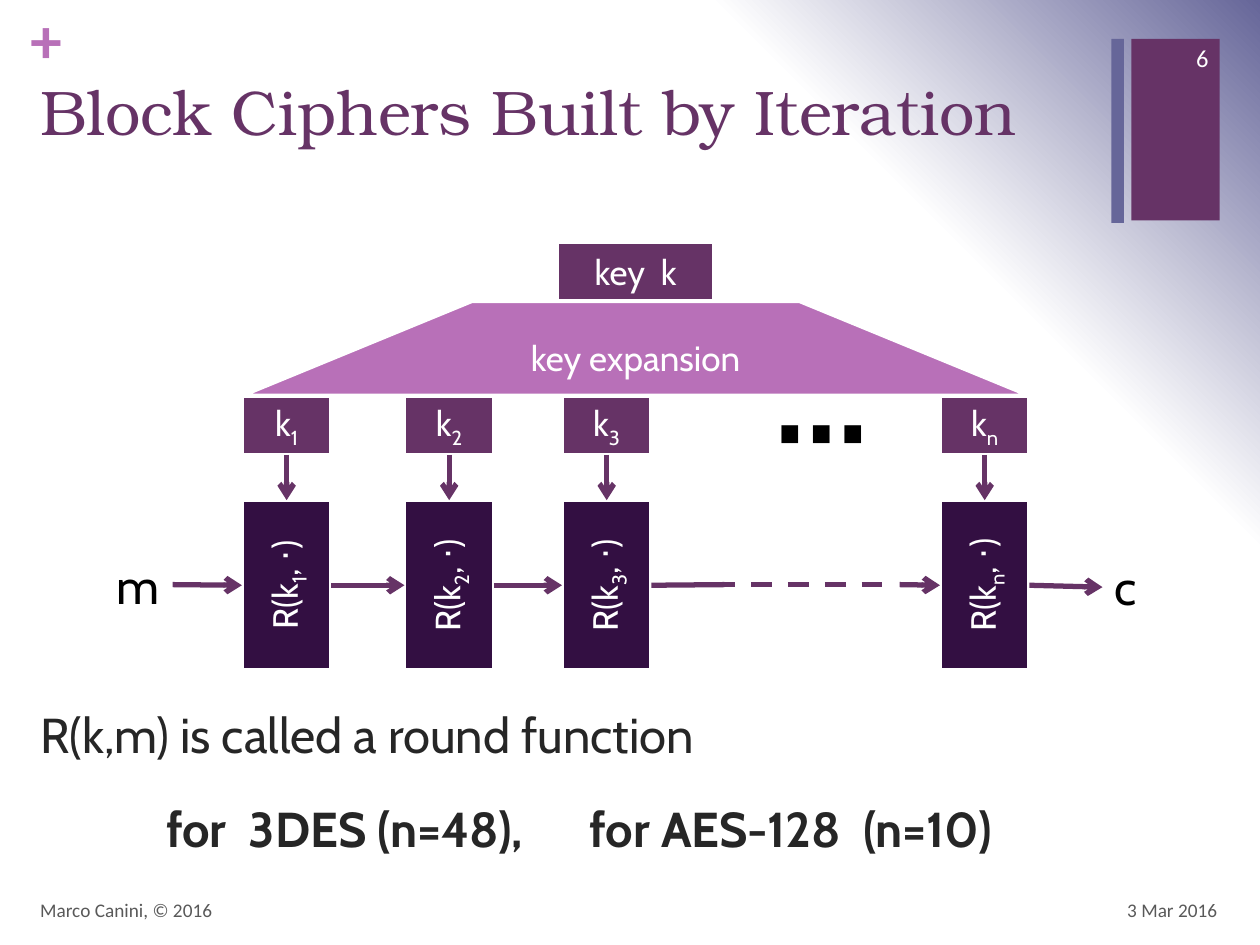
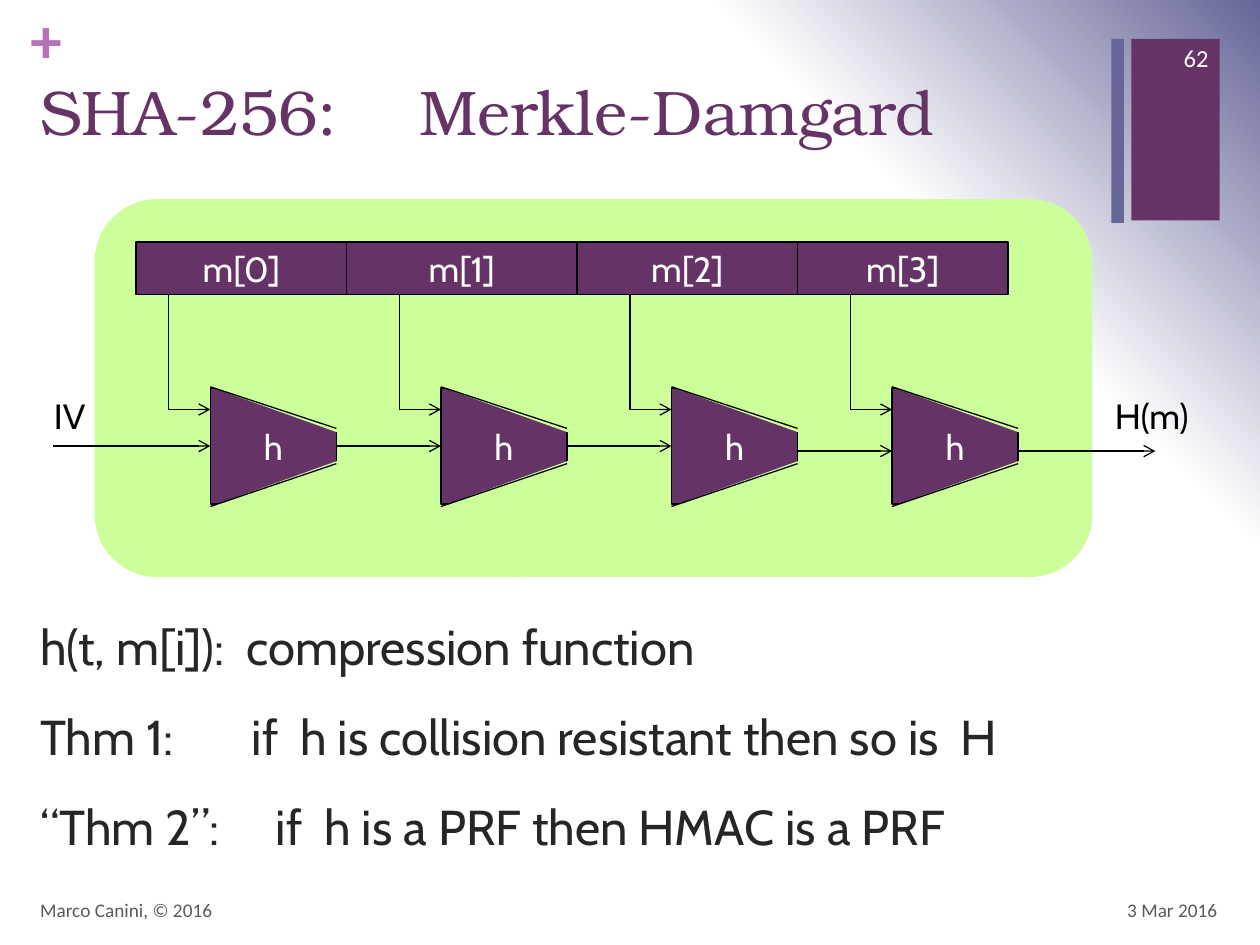
"""Builds two cryptography slides: block cipher iteration and Merkle-Damgard hashing."""
from lxml import etree
from pptx import Presentation, util as u
from pptx.dml.color import RGBColor
from pptx.enum import dml, shapes, text
from pptx.oxml.ns import qn

PLUM, ORCHID, NIGHT, SLATE = "663366", "B870B8", "330F42", "666699"
LIME, WHITE, BLACK, INK, GREY = "CCFF99", "FFFFFF", "000000", "262626", "595959"
BODY, HEAD, SMALL = "Cabin", "TeX Gyre Bonum", "Calibri"
TOP, LEFT, BOTTOM, RIGHT = range(4)
MSO = shapes.MSO_SHAPE
ALIGN = text.PP_ALIGN

FOOTER, DATE = "Marco Canini, © 2016", "3 Mar 2016"
GRADIENT = [(0, WHITE), (75, WHITE), (100, SLATE)]

CIPHER = dict(
    title="Block Ciphers Built by Iteration", number="6", top=5.54, height=1.48,
    body=[dict(runs=["R(k,m) is called a round function"], before=20),
          dict(runs=["\tfor  3DES (n=48),\tfor AES-128  (n=10)"], before=20,
               bold=True, tabs=[1, 4.36])])
ROUNDS = [("1", 1.92), ("2", 3.21), ("3", 4.46), ("n", 7.46)]
KEY_W, KEY_H, KEY_Y = 0.71, 0.47, 3.14
ROUND_Y, ROUND_H = 3.97, 1.35
FLOW_Y = 4.64

HASH = dict(
    title="SHA-256:\tMerkle-Damgard", title_tabs=[3.01], number="62",
    top=4.84, height=2.18,
    body=[dict(runs=["h(t, m[i]):  compression function"], before=20),
          dict(runs=["Thm 1:\tif  h is collision resistant then so is  H"],
               before=18, tabs=[1.68]),
          dict(runs=["“Thm 2”:\tif  h is a PRF then HMAC is a PRF"],
               before=18, tabs=[1.87])])
MESSAGES = [("m[0]", 1.08, 1.67), ("m[1]", 2.75, 1.83),
            ("m[2]", 4.58, 1.75), ("m[3]", 6.33, 1.67)]
STAGES = [1.67, 3.5, 5.33, 7.08]
CHAIN_Y, LAST_CHAIN_Y = 3.54, 3.58


def rgb(value):
    return RGBColor.from_string(value)


def add_paragraph(p, runs, size, font, color, align=None, before=None, bold=None, tabs=()):
    p.alignment = align
    if before:
        p.space_before = u.Pt(before)
    if tabs:
        stops = etree.SubElement(p._p.get_or_add_pPr(), qn("a:tabLst"))
        for pos in tabs:
            etree.SubElement(stops, qn("a:tab"), pos=str(u.Inches(pos)), algn="l")
    for item in runs:
        wording, baseline = item if isinstance(item, tuple) else (item, 0)
        r = p.add_run()
        r.text = wording
        r.font.size, r.font.name, r.font.bold = u.Pt(size), font, bold
        r.font.color.rgb = rgb(color)
        if baseline:
            r._r.get_or_add_rPr().set("baseline", str(baseline * 1000))


def add_text(s, box, paragraphs, size, font, color, middle=False, wrap=True,
             grow=False, inset=True):
    sp = s.shapes.add_textbox(*map(u.Inches, box))
    tf = sp.text_frame
    tf.word_wrap = wrap
    tf.vertical_anchor = text.MSO_ANCHOR.MIDDLE if middle else text.MSO_ANCHOR.TOP
    if grow:
        tf.auto_size = text.MSO_AUTO_SIZE.SHAPE_TO_FIT_TEXT
    if not inset:
        tf.margin_left = tf.margin_top = tf.margin_right = tf.margin_bottom = 0
    for i, par in enumerate(paragraphs):
        p = tf.add_paragraph() if i else tf.paragraphs[0]
        add_paragraph(p, size=size, font=font, color=color, **par)
    return sp


def add_block(s, kind, box, fill, line=None, runs=(), wrap=True, vertical=False):
    sp = s.shapes.add_shape(kind, *map(u.Inches, box))
    sp.shadow.inherit = False
    sp.fill.solid()
    sp.fill.fore_color.rgb = rgb(fill)
    if line:
        sp.line.color.rgb, sp.line.width = rgb(line[0]), u.Pt(line[1])
    else:
        sp.line.fill.background()
    if runs:
        tf = sp.text_frame
        tf.word_wrap = wrap
        tf.vertical_anchor = text.MSO_ANCHOR.MIDDLE
        add_paragraph(tf.paragraphs[0], runs, 20, BODY, WHITE, ALIGN.CENTER)
        if vertical:
            tf._txBody.bodyPr.set("vert", "vert270")
    return sp


def add_line(s, start, end, color, width, arrow=True, dash=False):
    """Joins two ends, each an (x, y) point or a (shape, side) pair."""
    ends = [(0, 0) if hasattr(e[0], "shape_id") else e for e in (start, end)]
    c = s.shapes.add_connector(shapes.MSO_CONNECTOR.STRAIGHT,
                               *(u.Inches(v) for e in ends for v in e))
    for e, connect in ((start, c.begin_connect), (end, c.end_connect)):
        if hasattr(e[0], "shape_id"):
            connect(*e)
    c.line.color.rgb, c.line.width = rgb(color), u.Pt(width)
    if dash:
        c.line.dash_style = dml.MSO_LINE.DASH
    spPr = c._element.spPr
    if arrow:
        etree.SubElement(spPr.find(qn("a:ln")), qn("a:tailEnd"), type="arrow")
    etree.SubElement(spPr, qn("a:effectLst"))


def set_background(s):
    s.background.fill.gradient()
    grad = s._element.cSld.find(".//" + qn("a:gradFill"))
    for child in list(grad):
        grad.remove(child)
    stops = etree.SubElement(grad, qn("a:gsLst"))
    for pos, color in GRADIENT:
        gs = etree.SubElement(stops, qn("a:gs"), pos=str(pos * 1000))
        etree.SubElement(gs, qn("a:srgbClr"), val=color)
    circle = etree.SubElement(grad, qn("a:path"), {"path": "circle"})
    etree.SubElement(circle, qn("a:fillToRect"), t="100000", r="100000")


def add_base(prs, content):
    s = prs.slides.add_slide(prs.slide_layouts[6])
    set_background(s)
    add_block(s, MSO.RECTANGLE, (8.98, 0.31, 0.7, 1.44), PLUM)
    add_text(s, (0.24, 0, 0.29, 0.61), [dict(runs=["+"], bold=True)], 36, SMALL, ORCHID,
             grow=True, inset=False)
    add_block(s, MSO.RECTANGLE, (8.82, 0.31, 0.1, 1.46), SLATE)
    add_text(s, (0.22, 0.53, 8.59, 1.22),
             [dict(runs=[content["title"]], tabs=content.get("title_tabs", ()))],
             36, HEAD, PLUM)
    add_text(s, (0.22, content["top"], 9.54, content["height"]), content["body"],
             28, BODY, INK)
    for box, wording, size, color, align in [
            ((7.43, 7.02, 2.33, 0.4), DATE, 11, GREY, ALIGN.RIGHT),
            ((0.22, 7.02, 6.7, 0.4), FOOTER, 11, GREY, ALIGN.LEFT),
            ((9.08, 0.26, 0.61, 0.4), content["number"], 14, WHITE, ALIGN.RIGHT)]:
        add_text(s, box, [dict(runs=[wording], align=align)], size, SMALL, color, middle=True)
    return s


def build_cipher(prs):
    s = add_base(prs, CIPHER)
    edge, stroke = (WHITE, 2.25), (PLUM, 3)
    add_block(s, MSO.RECTANGLE, (4.42, 1.92, 1.25, KEY_H), PLUM, edge, ["key  k"])
    expansion = add_block(s, MSO.TRAPEZOID, (1.92, 2.39, 6.25, 0.75), ORCHID, edge,
                          ["key expansion"])
    expansion.adjustments[0] = 2.433
    rounds = []
    for index, x in ROUNDS:
        sub = (index, -25)
        key = add_block(s, MSO.RECTANGLE, (x, KEY_Y, KEY_W, KEY_H), PLUM, edge, ["k", sub])
        box = add_block(s, MSO.RECTANGLE, (x, ROUND_Y, KEY_W, ROUND_H), NIGHT, edge,
                        ["R(k", sub, ", ⋅)"], vertical=True)
        add_line(s, (key, BOTTOM), (box, TOP), *stroke)
        rounds.append(box)
    first, second, third, last = rounds
    for start, end in [((1.37, FLOW_Y), (first, LEFT)),
                       ((first, RIGHT), (second, LEFT)),
                       ((second, RIGHT), (third, LEFT)),
                       ((7.14, FLOW_Y), (last, LEFT)),
                       ((last, RIGHT), (8.75, 4.66))]:
        add_line(s, start, end, *stroke)
    add_line(s, (third, RIGHT), (5.75, FLOW_Y), *stroke, arrow=False)
    add_line(s, (5.67, FLOW_Y), (7, FLOW_Y), *stroke, arrow=False, dash=True)
    for wording, box, size, bold, wrap in [("m", (0.83, 4.36, 0.53, 0.57), 28, None, False),
                                           ("c", (8.75, 4.37, 0.42, 0.57), 28, None, True),
                                           ("⋯", (6.05, 2.91, 0.58, 1.01), 54, True, False)]:
        add_text(s, box, [dict(runs=[wording], bold=bold)], size, BODY, BLACK,
                 wrap=wrap, grow=True)


def build_hash(prs):
    s = add_base(prs, HASH)
    stroke = (BLACK, 0.75)
    add_block(s, MSO.ROUNDED_RECTANGLE, (0.75, 1.58, 7.92, 3), LIME)
    stages = [add_block(s, MSO.RECTANGLE, (x, 3.08, 1, 0.92), PLUM, stroke, ["h"], wrap=False)
              for x in STAGES]
    for (wording, x, width), stage_x in zip(MESSAGES, STAGES):
        add_block(s, MSO.RECTANGLE, (x, 1.92, width, 0.42), PLUM, stroke, [wording], wrap=False)
        elbow = stage_x - 0.33
        add_line(s, (elbow, 2.34), (elbow, 3.25), *stroke, arrow=False)
        add_line(s, (elbow, 3.25), (stage_x, 3.25), *stroke)
    add_line(s, (0.42, CHAIN_Y), (stages[0], LEFT), *stroke)
    for a, b in zip(stages[:2], stages[1:3]):
        add_line(s, (a, RIGHT), (b, LEFT), *stroke)
    for x1, x2 in [(STAGES[2] + 1, STAGES[3]), (STAGES[3] + 1, 9.17)]:
        add_line(s, (x1, LAST_CHAIN_Y), (x2, LAST_CHAIN_Y), *stroke)
    for wording, box in [("IV", (0.33, 3.08, 0.47, 0.44)), ("H(m)", (8.75, 3.08, 0.84, 0.44))]:
        add_text(s, box, [dict(runs=[wording])], 20, BODY, BLACK, wrap=False, grow=True)
    for x in STAGES:
        for corner_y, flips, y1, y2 in [(3.07, ("flipH", "flipV"), 3.07, 3.4),
                                        (3.6, ("flipH",), 4.02, 3.68)]:
            corner = add_block(s, MSO.RIGHT_TRIANGLE, (x, corner_y, 1.17, 0.42), LIME)
            for flip in flips:
                corner._element.spPr.xfrm.set(flip, "1")
            add_line(s, (x, y1), (x + 1, y2), *stroke, arrow=False)


def main():
    prs = Presentation()
    prs.slide_width, prs.slide_height = u.Inches(10), u.Inches(7.5)
    build_cipher(prs)
    build_hash(prs)
    prs.save("out.pptx")


if __name__ == "__main__":
    main()
